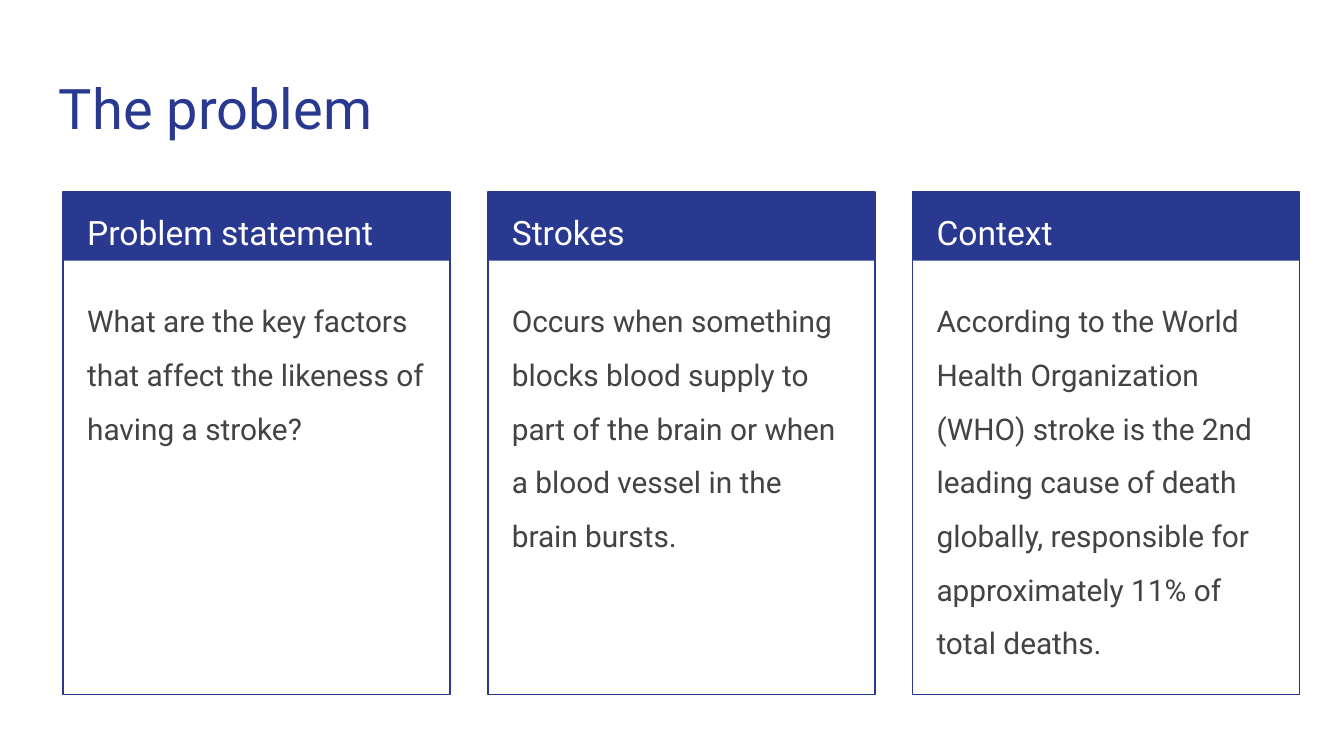
import dataclasses

import pptx
import pptx.dml.color
import pptx.enum.shapes
import pptx.enum.text
import pptx.util


@dataclasses.dataclass(frozen=True)
class Theme:
    font: str = "Roboto"
    accent: str = "2A3990"
    body_color: str = "434343"
    header_color: str = "FFFFFF"
    title_size: int = 30
    header_size: int = 18
    body_size: int = 16
    border_width: float = 0.75


THEME = Theme()
SLIDE_WIDTH = 10
SLIDE_HEIGHT = SLIDE_WIDTH * 9 / 16
GRID_LEFT, GRID_TOP = 0.47, 1.43
COLUMN_PITCH = 3.16
CARD_WIDTH, CARD_HEIGHT = 2.88, 3.74
HEADER_HEIGHT, HEADER_TEXT_HEIGHT = 0.51, 0.5
TEXT_INDENT = 0.08
BODY_OFFSET, BODY_HEIGHT = 0.59, 3.06

CARDS = [
    ("Problem statement",
     "What are the key factors that affect the likeness of having a stroke?"),
    ("Strokes",
     "Occurs when something blocks blood supply to part of the brain or when "
     "a blood vessel in the brain bursts."),
    ("Context",
     "According to the World Health Organization (WHO) stroke is the 2nd "
     "leading cause of death globally, responsible for approximately 11% of "
     "total deaths."),
]


def inches(*lengths):
    return [pptx.util.Inches(length) for length in lengths]


def rgb(color):
    return pptx.dml.color.RGBColor.from_string(color)


def add_text(slide, text, box, *, size, color, line_spacing=1.0, space_after=0):
    shape = slide.shapes.add_textbox(*inches(*box))
    frame = shape.text_frame
    frame.word_wrap = True
    frame.vertical_anchor = pptx.enum.text.MSO_ANCHOR.TOP
    frame.margin_left, frame.margin_top, frame.margin_right, frame.margin_bottom = (
        inches(0.1, 0.1, 0.1, 0.1))
    paragraph = frame.paragraphs[0]
    paragraph.line_spacing = line_spacing
    paragraph.space_after = pptx.util.Pt(space_after)
    run = paragraph.add_run()
    run.text = text
    run.font.name = THEME.font
    run.font.size = pptx.util.Pt(size)
    run.font.color.rgb = rgb(color)


def add_rectangle(group, box, *, fill=None, line=None):
    shape = group.shapes.add_shape(
        pptx.enum.shapes.MSO_SHAPE.RECTANGLE, *inches(*box))
    shape.shadow.inherit = False
    if fill:
        shape.fill.solid()
        shape.fill.fore_color.rgb = rgb(fill)
    else:
        shape.fill.background()
    if line:
        shape.line.color.rgb = rgb(line)
        shape.line.width = pptx.util.Pt(THEME.border_width)
    else:
        shape.line.fill.background()


def add_card(slide, column, header, body):
    left = GRID_LEFT + column * COLUMN_PITCH
    text_left = left + TEXT_INDENT
    text_width = CARD_WIDTH - 2 * TEXT_INDENT
    group = slide.shapes.add_group_shape()
    add_rectangle(group, (left, GRID_TOP, CARD_WIDTH, HEADER_HEIGHT),
                  fill=THEME.accent)
    add_rectangle(group, (left, GRID_TOP, CARD_WIDTH, CARD_HEIGHT),
                  line=THEME.accent)
    add_text(slide, header,
             (text_left, GRID_TOP, text_width, HEADER_TEXT_HEIGHT),
             size=THEME.header_size, color=THEME.header_color,
             line_spacing=1.15)
    add_text(slide, body,
             (text_left, GRID_TOP + BODY_OFFSET, text_width, BODY_HEIGHT),
             size=THEME.body_size, color=THEME.body_color,
             line_spacing=1.5, space_after=16)


def main():
    presentation = pptx.Presentation()
    presentation.slide_width, presentation.slide_height = inches(
        SLIDE_WIDTH, SLIDE_HEIGHT)
    slide = presentation.slides.add_slide(presentation.slide_layouts[6])
    add_text(slide, "The problem", (0.34, 0.45, 9.32, 0.66),
             size=THEME.title_size, color=THEME.accent)
    for column, (header, body) in enumerate(CARDS):
        add_card(slide, column, header, body)
    presentation.save("out.pptx")


if __name__ == "__main__":
    main()
